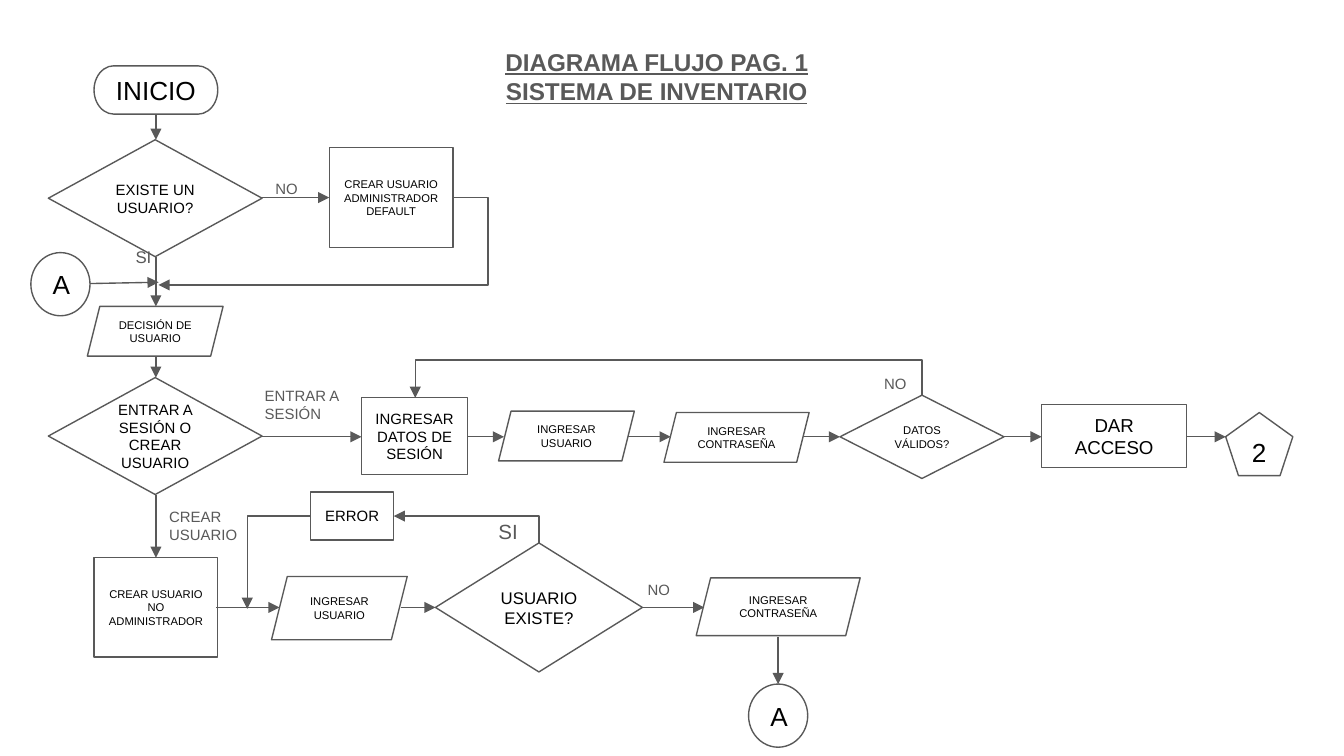
from dataclasses import dataclass

from lxml.etree import SubElement
from pptx import Presentation
from pptx.dml.color import RGBColor
from pptx.enum.shapes import MSO_CONNECTOR as Link, MSO_SHAPE as Kind
from pptx.enum.text import MSO_ANCHOR as Anchor, PP_ALIGN as Align
from pptx.oxml.ns import qn
from pptx.slide import Slide
from pptx.util import Inches, Pt

WHITE = RGBColor(0xFF, 0xFF, 0xFF)
BLACK = RGBColor(0, 0, 0)
GRAY = RGBColor(0x59, 0x59, 0x59)
FONT = "Arial"
LINE_WIDTH = Pt(0.75)


def write(shape, lines, size, color, align, anchor, heading=False):
    frame = shape.text_frame
    frame.word_wrap = True
    frame.vertical_anchor = anchor
    frame.margin_left = frame.margin_right = Inches(0.1)
    frame.margin_top = frame.margin_bottom = Inches(0.1)
    for index, line in enumerate(lines):
        paragraph = frame.add_paragraph() if index else frame.paragraphs[0]
        paragraph.alignment = align
        run = paragraph.add_run()
        run.text = line
        run.font.name = FONT
        run.font.size = Pt(size)
        run.font.color.rgb = color
        if heading:
            run.font.bold = run.font.underline = True


@dataclass
class Region:
    slide: Slide
    left: float
    top: float

    def place(self, x, y):
        return Inches(self.left + x), Inches(self.top + y)

    def node(self, kind, x, y, width, height, text, size):
        shape = self.slide.shapes.add_shape(
            kind, *self.place(x, y), Inches(width), Inches(height))
        shape.shadow.inherit = False
        shape.fill.solid()
        shape.fill.fore_color.rgb = WHITE
        shape.line.color.rgb = GRAY
        shape.line.width = LINE_WIDTH
        write(shape, [text], size, BLACK, Align.CENTER, Anchor.MIDDLE)

    def label(self, x, y, text, size=8, width=0.62, height=0.24):
        box = self.slide.shapes.add_textbox(
            *self.place(x, y), Inches(width), Inches(height))
        write(box, [text], size, GRAY, Align.LEFT, Anchor.TOP)

    def arrow(self, start, end, link=Link.STRAIGHT):
        connector = self.slide.shapes.add_connector(
            link, *self.place(*start), *self.place(*end))
        connector.line.color.rgb = GRAY
        connector.line.width = LINE_WIDTH
        line = connector.line._get_or_add_ln()
        SubElement(line, qn("a:tailEnd"), type="triangle")
        SubElement(connector._element.spPr, qn("a:effectLst"))
        return connector

    def elbow(self, start, end, bend=None, upright=False):
        across, down = end[0] - start[0], end[1] - start[1]
        middle = start[0] + across / 2, start[1] + down / 2
        run, rise = (down, -across) if upright else (across, down)
        connector = self.arrow(
            (middle[0] - run / 2, middle[1] - rise / 2),
            (middle[0] + run / 2, middle[1] + rise / 2), Link.ELBOW)
        connector.rotation = 90 if upright else 0
        geometry = connector._element.spPr.find(qn("a:prstGeom"))
        if bend is None:
            geometry.set("prst", "bentConnector2")
        else:
            ratio = (bend - start[1 if upright else 0]) / run
            guides = geometry.find(qn("a:avLst"))
            SubElement(guides, qn("a:gd"), name="adj1", fmla=f"val {round(ratio * 100000)}")


def draw_title(slide, left, top, width, height):
    box = slide.shapes.add_textbox(
        Inches(left), Inches(top), Inches(width), Inches(height))
    write(box, ["DIAGRAMA FLUJO PAG. 1", "SISTEMA DE INVENTARIO"], 13, GRAY,
          Align.CENTER, Anchor.TOP, heading=True)


def draw_start(slide, left, top):
    region = Region(slide, left, top)
    axis, row = 0.96, 1.07
    region.node(Kind.FLOWCHART_TERMINATOR, 0.5, 0.09, 0.92, 0.36, "INICIO", 14)
    region.node(Kind.FLOWCHART_DECISION, 0.16, 0.64, 1.59, 0.87, "EXISTE UN USUARIO?", 8)
    region.node(Kind.RECTANGLE, 2.25, 0.7, 0.92, 0.74,
                "CREAR USUARIO ADMINISTRADOR DEFAULT", 6)
    region.node(Kind.OVAL, 0.03, 1.48, 0.44, 0.47, "A", 14)
    region.node(Kind.PARALLELOGRAM, 0.45, 1.88, 1.01, 0.37, "DECISIÓN DE USUARIO", 6)
    for begin, finish in [(0.45, 0.64), (1.51, 1.88)]:
        region.arrow((axis, begin), (axis, finish))
    region.arrow((1.75, row), (2.25, row))
    region.arrow((0.47, 1.71), (0.98, 1.7))
    region.elbow((3.17, row), (0.98, 1.72), bend=3.43)
    region.label(1.75, 0.87, "NO")
    region.label(0.71, 1.37, "SI", 9, 0.49, 0.14)


def draw_login(slide, left, top):
    region = Region(slide, left, top)
    row = 0.65
    region.node(Kind.DIAMOND, 0.06, 0.21, 1.59, 0.87, "ENTRAR A SESIÓN O CREAR USUARIO", 8)
    region.node(Kind.RECTANGLE, 2.39, 0.36, 0.79, 0.57, "INGRESAR DATOS DE SESIÓN", 8)
    region.node(Kind.PARALLELOGRAM, 3.41, 0.46, 1.01, 0.37, "INGRESAR USUARIO", 6)
    region.node(Kind.PARALLELOGRAM, 4.64, 0.47, 1.08, 0.37, "INGRESAR CONTRASEÑA", 6)
    region.node(Kind.FLOWCHART_DECISION, 5.95, 0.34, 1.22, 0.62, "DATOS VÁLIDOS?", 6)
    region.node(Kind.RECTANGLE, 7.45, 0.41, 1.08, 0.47, "DAR ACCESO", 10)
    region.node(Kind.REGULAR_PENTAGON, 8.82, 0.47, 0.5, 0.47, "2", 14)
    region.arrow((0.86, 0.05), (0.86, 0.21))
    for begin, finish in [(1.65, 2.39), (3.18, 3.45), (4.37, 4.69),
                          (5.68, 5.95), (7.16, 7.45), (8.53, 8.82)]:
        region.arrow((begin, row), (finish, row))
    region.elbow((6.56, 0.34), (2.79, 0.36), bend=0.08, upright=True)
    region.label(1.57, 0.18, "ENTRAR A SESIÓN", width=0.79, height=0.47)
    region.label(6.18, 0.12, "NO")


def draw_registration(slide, left, top):
    region = Region(slide, left, top)
    row = 0.92
    region.node(Kind.RECTANGLE, 0, 0.55, 0.92, 0.74, "CREAR USUARIO NO ADMINISTRADOR", 6)
    region.node(Kind.PARALLELOGRAM, 1.32, 0.69, 1.01, 0.47, "INGRESAR USUARIO", 6)
    region.node(Kind.FLOWCHART_DECISION, 2.54, 0.44, 1.54, 0.96, "USUARIO EXISTE?", 9)
    region.node(Kind.PARALLELOGRAM, 4.48, 0.7, 1.22, 0.43, "INGRESAR CONTRASEÑA", 6)
    region.node(Kind.RECTANGLE, 1.61, 0.06, 0.62, 0.36, "ERROR", 8)
    region.node(Kind.OVAL, 4.87, 1.49, 0.44, 0.47, "A", 14)
    for begin, finish in [(0.91, 1.38), (2.28, 2.54), (4.08, 4.54)]:
        region.arrow((begin, row), (finish, row))
    region.arrow((0.46, 0.08), (0.46, 0.55))
    region.arrow((5.09, 1.14), (5.09, 1.49))
    region.elbow((3.31, 0.44), (2.23, 0.24), upright=True)
    region.elbow((1.61, 0.24), (1.14, 0.93))
    region.label(0.46, 0.08, "CREAR USUARIO", width=0.79, height=0.47)
    region.label(4.02, 0.65, "NO")
    region.label(2.91, 0.17, "SI", 11, 0.41)


def main():
    presentation = Presentation()
    presentation.slide_width = Inches(10)
    presentation.slide_height = Inches(10 * 9 / 16)
    slide = presentation.slides.add_slide(presentation.slide_layouts[6])
    draw_title(slide, 2.85, 0.25, 4.07, 0.47)
    draw_start(slide, 0.2, 0.4)
    draw_login(slide, 0.3, 2.6)
    draw_registration(slide, 0.7, 3.6)
    presentation.save("out.pptx")


if __name__ == "__main__":
    main()
